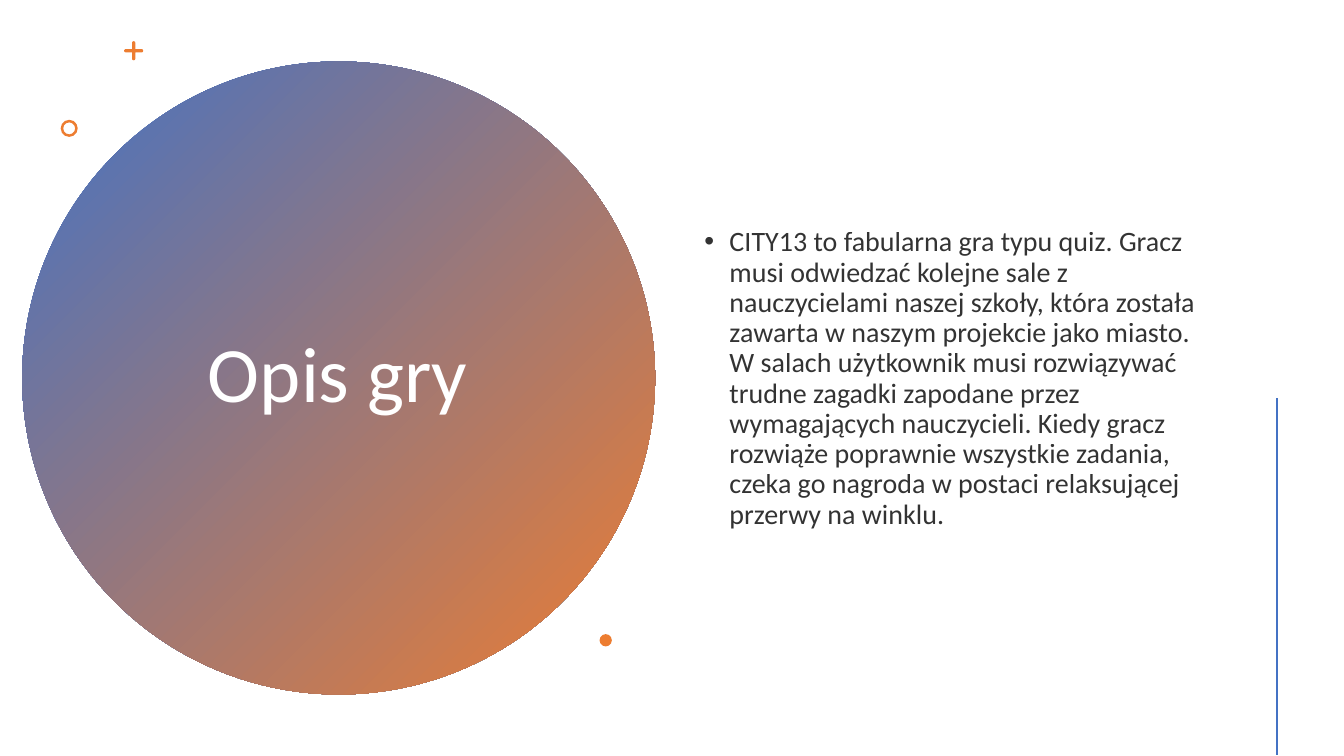
import math

import pptx
import pptx.dml.color
import pptx.enum.shapes
import pptx.enum.text
import pptx.oxml
import pptx.oxml.ns
import pptx.util

Cm = pptx.util.Cm
Shapes = pptx.enum.shapes.MSO_SHAPE
Align = pptx.enum.text.PP_ALIGN

COLOURS = {"blue": "4472C4", "orange": "ED7D31", "white": "FFFFFF", "black": "000000"}
FONT = "Calibri"


def rgb(name):
    return pptx.dml.color.RGBColor.from_string(COLOURS[name])


def element(tag, **attributes):
    node = pptx.oxml.parse_xml(f"<a:{tag} {pptx.oxml.ns.nsdecls('a')}/>")
    for key, value in attributes.items():
        node.set(key, str(value))
    return node


def write(box, text, size, colour, align=Align.LEFT, opacity=100, before=0, bullet=None):
    """Put one formatted paragraph into a box."""
    para = box.text_frame.paragraphs[0]
    para.alignment = align
    para.line_spacing = 0.9
    para.space_before = pptx.util.Pt(before)
    span = para.add_run()
    span.text = text
    span.font.name = FONT
    span.font.size = pptx.util.Pt(size)
    span.font.color.rgb = rgb(colour)
    if opacity < 100:
        shade = span.font.fill._xPr.find(".//" + pptx.oxml.ns.qn("a:srgbClr"))
        shade.append(element("alpha", val=opacity * 1000))
    if bullet:
        properties = para._p.get_or_add_pPr()
        indent = Cm(0.635)
        properties.set("marL", str(indent))
        properties.set("indent", str(-indent))
        properties.append(element("buFont", typeface="Arial"))
        properties.append(element("buChar", char=bullet))


class SlideBuilder:
    def __init__(self, deck, font_anchor=pptx.enum.text.MSO_ANCHOR.MIDDLE):
        self.page = deck.slides.add_slide(deck.slide_layouts[6])
        self.anchor = font_anchor

    def finish(self, shape, colours):
        shape.shadow.inherit = False
        shape.line.fill.background()
        if len(colours) == 1:
            shape.fill.solid()
            shape.fill.fore_color.rgb = rgb(colours[0])
        else:
            shape.fill.gradient()
            shape.fill.gradient_angle = 315
            for stop, colour, position in zip(shape.fill.gradient_stops, colours, (0, 1)):
                stop.color.rgb = rgb(colour)
                stop.position = position
        return shape

    def round(self, kind, left, top, size, *colours):
        shape = self.page.shapes.add_shape(kind, Cm(left), Cm(top), Cm(size), Cm(size))
        return self.finish(shape, colours)

    def plus(self, x, y, radius, half, colour):
        """Draw a plus with rounded arm ends."""
        points = []
        for arm in range(0, 360, 90):
            tip = math.radians(arm)
            for turn in range(-90, 91, 15):
                angle = math.radians(arm + turn)
                points.append((x + (radius - half) * math.cos(tip) + half * math.cos(angle),
                               y + (radius - half) * math.sin(tip) + half * math.sin(angle)))
            corner = math.radians(arm + 45)
            points.append((x + half * math.sqrt(2) * math.cos(corner),
                           y + half * math.sqrt(2) * math.sin(corner)))
        points = [(Cm(across), Cm(down)) for across, down in points]
        outline = self.page.shapes.build_freeform(*points[0])
        outline.add_line_segments(points[1:], close=True)
        return self.finish(outline.convert_to_shape(), [colour])

    def text(self, left, top, width, height, text, **style):
        box = self.page.shapes.add_textbox(Cm(left), Cm(top), Cm(width), Cm(height))
        box.text_frame.word_wrap = True
        box.text_frame.vertical_anchor = self.anchor
        write(box, text, **style)

    def line(self, x, top, bottom, colour, width):
        line = self.page.shapes.add_connector(
            pptx.enum.shapes.MSO_CONNECTOR.STRAIGHT, Cm(x), Cm(top), Cm(x), Cm(bottom))
        line.line.color.rgb = rgb(colour)
        line.line.width = pptx.util.Pt(width)
        line._element.spPr.append(element("effectLst"))


deck = pptx.Presentation()
deck.slide_width, deck.slide_height = Cm(33.87), Cm(19.05)
slide = SlideBuilder(deck)

# Title circle
slide.round(Shapes.OVAL, 0.56, 1.55, 15.95, "blue", "orange")
slide.text(3.45, 3.58, 10.13, 11.86, "Opis gry", size=56, colour="white", align=Align.CENTER)

# Small ornaments
slide.plus(3.37, 1.28, 0.24, 0.04, "orange")
ring = slide.round(Shapes.DONUT, 1.53, 3.02, 0.43, "orange")
ring.adjustments[0] = 0.15
slide.round(Shapes.OVAL, 15.11, 15.98, 0.31, "orange")

# Description
slide.text(
    17.5, 1.45, 13.26, 16.2,
    "CITY13 to fabularna gra typu quiz. Gracz musi odwiedzać kolejne sale z "
    "nauczycielami naszej szkoły, która została zawarta w naszym projekcie jako miasto. "
    "W salach użytkownik musi rozwiązywać trudne zagadki zapodane przez wymagających "
    "nauczycieli. Kiedy gracz rozwiąże poprawnie wszystkie zadania, czeka go nagroda "
    "w postaci relaksującej przerwy na winklu.",
    size=20, colour="black", opacity=80, before=10, bullet="•")

# Accent line at the right edge
slide.line(32.18, 10.03, 19.03, "blue", 2)

deck.save("out.pptx")
